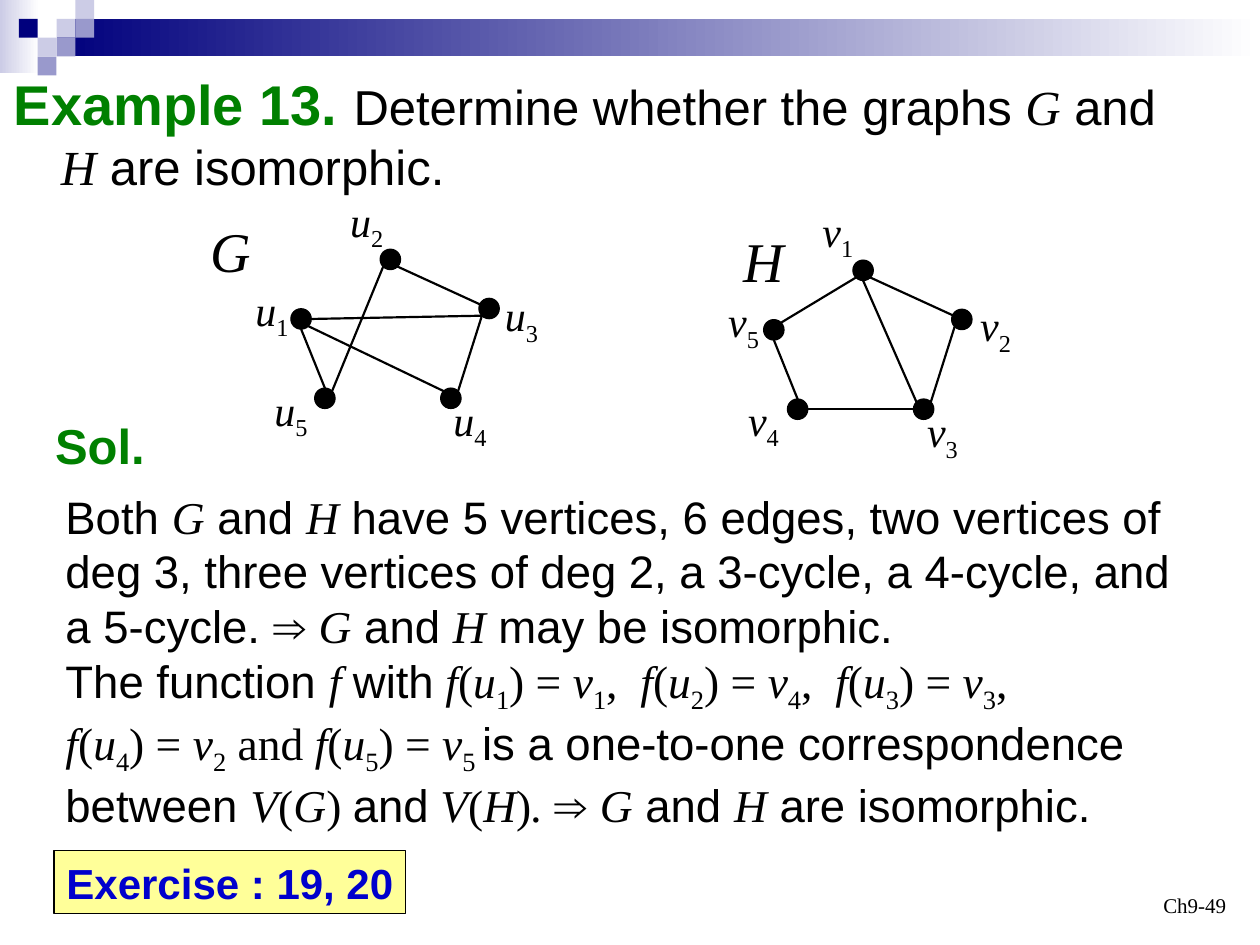
from math import cos, pi, sin

from lxml import etree
from pptx import Presentation
from pptx.dml.color import RGBColor
from pptx.enum.shapes import MSO_CONNECTOR, MSO_SHAPE
from pptx.enum.text import MSO_ANCHOR, PP_ALIGN
from pptx.oxml.ns import qn
from pptx.util import Cm, Pt

RECT, OVAL = MSO_SHAPE.RECTANGLE, MSO_SHAPE.OVAL
STRAIGHT = MSO_CONNECTOR.STRAIGHT
TOP, BOTTOM = MSO_ANCHOR.TOP, MSO_ANCHOR.BOTTOM
LEFT, RIGHT = PP_ALIGN.LEFT, PP_ALIGN.RIGHT
SANS, SERIF = "Arial", "Times New Roman"
BLACK, WHITE, GREEN, BLUE = "000000", "FFFFFF", "008000", "0000CC"
NAVY, LILAC, VIOLET, YELLOW = "00007D", "CCCCE6", "9999CC", "FFFF99"

STYLES = {"#": (SANS, False, 0), "^": (SERIF, False, 0),
          "*": (SERIF, True, 0), "_": (SERIF, False, -25000)}

SQUARE = 0.38
BANDS = [((0, 0, 0.79, 1.47), LILAC), ((1.14, 0.38, 24.26, 0.76), NAVY)]
SQUARES = [(3, 1, LILAC), (4, 0, LILAC), (4, 1, VIOLET), (2, 2, LILAC),
           (1, 1, NAVY), (3, 2, VIOLET), (2, 3, VIOLET)]

DOT = 0.41
NAME_SIZE = (1.4, 1.63)
LABEL_SIZE = (1.3, 1.42)
PENTAGON = {"top": (7.87, 5.23), "left": (6.07, 6.43), "right": (9.86, 6.22),
            "low left": (6.55, 8.03), "low right": (9.09, 8.03)}
CENTRE = None
SHARED_EDGES = [("low right", 7, "right", 3), ("low left", 0, "left", 4),
                ("right", CENTRE, "top", 5)]
GRAPHS = [
    {"name": ("*G", 3.99, 4.24), "shift": (0, 0),
     "edges": [("top", 3, "low left", 7), ("right", 3, "left", 6),
               ("low right", 1, "left", 5)],
     "labels": [("*u_2", 6.81, 3.81), ("*u_1", 4.9, 5.61), ("*u_3", 9.93, 5.72),
                ("*u_4", 8.89, 7.82), ("*u_5", 5.28, 7.62)]},
    {"name": ("*H", 14.73, 4.45), "shift": (9.53, 0.22),
     "edges": [("top", 3, "left", 7), ("low right", 2, "low left", 6),
               ("low right", 1, "top", 4)],
     "labels": [("*v_1", 16.33, 4.01), ("*v_5", 14.43, 5.84), ("*v_2", 19.51, 5.92),
                ("*v_3", 18.44, 8.05), ("*v_4", 14.83, 7.82)]},
]

QUESTION = "Determine whether the graphs *G# and \n*H# are isomorphic."
SOLUTION = [
    "Both *G# and *H# have 5 vertices, 6 edges, two vertices of deg 3, three vertices "
    "of deg 2, a 3-cycle, a 4-cycle, and a 5-cycle. ⇒ *G# and *H# may be isomorphic.",
    "The function *f #with* f^(*u_1^) = *v_1^,  *f^(*u_2^) = *v_4^,  *f^(*u_3^) = *v_3^,\n"
    "*f^(*u_4^) = *v_2^ and *f^(*u_5^) = *v_5 #is a one-to-one correspondence between "
    "*V^(*G^) #and* V^(*H^)*. #⇒ *G# and *H# are isomorphic.",
]


def rgb(value):
    return RGBColor.from_string(value)


def write(paragraph, text, size=26, color=BLACK, bold=False):
    style, chunk = "#", ""
    for letter in text + "#":
        if letter not in STYLES and letter != "\n":
            chunk += letter
            continue
        if chunk:
            run = paragraph.add_run()
            run.text = chunk
            font_name, italic, baseline = STYLES[style]
            run.font.name, run.font.italic = font_name, italic
            run.font.size, run.font.bold = Pt(size), bold
            run.font.color.rgb = rgb(color)
            if baseline:
                run.font._element.set("baseline", str(baseline))
            chunk = ""
        if letter == "\n":
            paragraph.add_line_break()
        else:
            style = letter


def add_text(slide, box, *texts, wrap=False, anchor=TOP, align=LEFT, **text_format):
    frame = slide.shapes.add_textbox(*map(Cm, box)).text_frame
    frame.word_wrap, frame.vertical_anchor = wrap, anchor
    for index, text in enumerate(texts):
        paragraph = frame.add_paragraph() if index else frame.paragraphs[0]
        paragraph.alignment = align
        write(paragraph, text, **text_format)
    return frame


def add_block(slide, kind, box, color, outline=False, fade=False):
    block = slide.shapes.add_shape(kind, *map(Cm, box))
    block.shadow.inherit = False
    if fade:
        block.fill.gradient()
        block.fill.gradient_angle = 0
        for stop, shade in zip(block.fill.gradient_stops, (color, WHITE)):
            stop.color.rgb = rgb(shade)
    else:
        block.fill.solid()
        block.fill.fore_color.rgb = rgb(color)
    if outline:
        block.line.color.rgb = rgb(BLACK)
        block.line.width = Pt(0.75)
    else:
        block.line.fill.background()
    return block


def rim_point(centre, site):
    if site is CENTRE:
        return centre
    angle = site * pi / 4
    return centre[0] - DOT / 2 * sin(angle), centre[1] - DOT / 2 * cos(angle)


def add_graph(slide, graph):
    dx, dy = graph["shift"]
    vertices = {place: (x + dx, y + dy) for place, (x, y) in PENTAGON.items()}
    for x, y in vertices.values():
        add_block(slide, OVAL, (x - DOT / 2, y - DOT / 2, DOT, DOT), BLACK, outline=True)
    for start, start_site, end, end_site in SHARED_EDGES + graph["edges"]:
        ends = rim_point(vertices[start], start_site) + rim_point(vertices[end], end_site)
        edge = slide.shapes.add_connector(STRAIGHT, *map(Cm, ends))
        edge.line.color.rgb = rgb(BLACK)
        edge.line.width = Pt(1.25)
        etree.SubElement(edge._element.spPr, qn("a:effectLst"))
    name, x, y = graph["name"]
    add_text(slide, (x, y, *NAME_SIZE), name, size=32)
    for label, x, y in graph["labels"]:
        add_text(slide, (x, y, *LABEL_SIZE), label, size=24)


def main():
    deck = Presentation()
    deck.slide_width, deck.slide_height = Cm(25.4), Cm(19.05)
    slide = deck.slides.add_slide(deck.slide_layouts[6])

    for box, color in BANDS:
        add_block(slide, RECT, box, color, fade=True)
    for column, row, color in SQUARES:
        add_block(slide, RECT, (column * SQUARE, row * SQUARE, SQUARE, SQUARE), color)

    heading = add_text(slide, (0.03, 1.28, 25.7, 2.8), "Example 13. ",
                       wrap=True, size=32, color=GREEN, bold=True).paragraphs[0]
    write(heading, QUESTION, size=28)
    hanging = heading._p.get_or_add_pPr()
    hanging.set("marL", str(Cm(0.95)))
    hanging.set("indent", str(-Cm(0.95)))

    for graph in GRAPHS:
        add_graph(slide, graph)

    add_text(slide, (1.07, 9.73, 23.06, 7.16), *SOLUTION, wrap=True)
    add_text(slide, (0.86, 8.26, 2.59, 1.45), "Sol.", size=28, color=GREEN, bold=True)

    exercise = add_block(slide, RECT, (1.09, 17.15, 7.09, 1.27), YELLOW, outline=True)
    exercise.text_frame.word_wrap = False
    exercise_line = exercise.text_frame.paragraphs[0]
    exercise_line.alignment = LEFT
    write(exercise_line, "Exercise : 19, 20", size=24, color=BLUE, bold=True)

    add_text(slide, (19.05, 17.35, 5.92, 1.27), "^Ch9-49",
             wrap=True, anchor=BOTTOM, align=RIGHT, size=12)
    deck.save("out.pptx")


if __name__ == "__main__":
    main()
